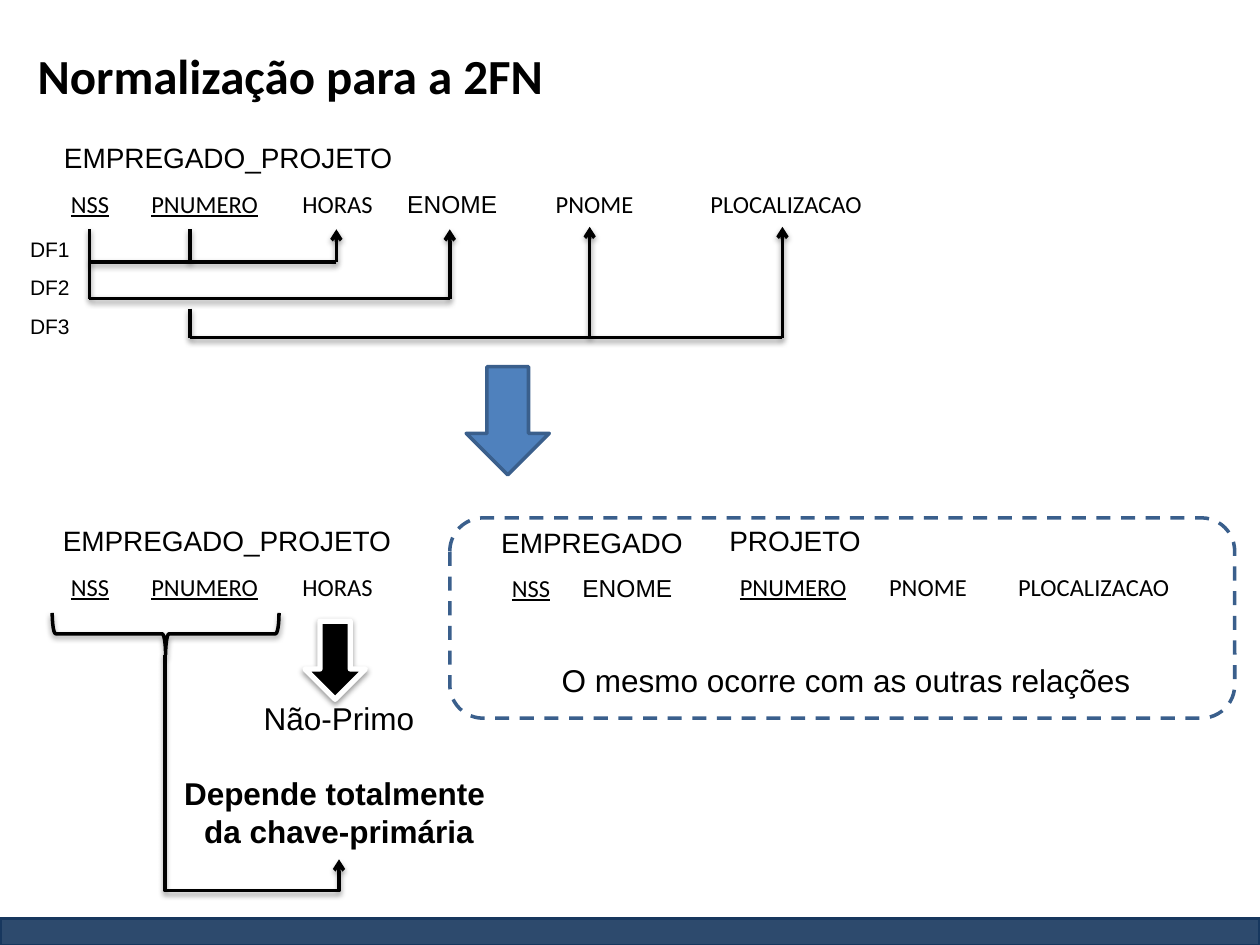
"""Build the slide on normalisation to the second normal form."""
from dataclasses import dataclass

from lxml import etree
from pptx import Presentation
from pptx.dml.color import RGBColor
from pptx.enum.dml import MSO_LINE
from pptx.enum.shapes import MSO_CONNECTOR, MSO_SHAPE
from pptx.enum.text import MSO_ANCHOR, PP_ALIGN
from pptx.oxml.ns import qn
from pptx.util import Inches, Pt

STRAIGHT, ELBOW = MSO_CONNECTOR.STRAIGHT, MSO_CONNECTOR.ELBOW
RECTANGLE, ROUNDED = MSO_SHAPE.RECTANGLE, MSO_SHAPE.ROUNDED_RECTANGLE
DOWN_ARROW, LEFT_BRACE = MSO_SHAPE.DOWN_ARROW, MSO_SHAPE.LEFT_BRACE
MIDDLE, CENTER, LEFT = MSO_ANCHOR.MIDDLE, PP_ALIGN.CENTER, PP_ALIGN.LEFT
DASH = MSO_LINE.DASH

COLUMN_WIDTHS = {"NSS": 0.61, "PNUMERO": 1.21, "HORAS": 0.9,
                 "ENOME": 0.92, "PNOME": 1.34, "PLOCALIZACAO": 1.7}
KEYS = ("NSS", "PNUMERO")


@dataclass(frozen=True)
class Theme:
    black: str = "000000"
    white: str = "FFFFFF"
    navy: str = "17375E"
    blue: str = "4F81BD"
    outline: str = "3A5F8C"
    heading_font: str = "Calibri"
    body_font: str = "Arial"
    title: int = 28
    note: int = 18
    relation: int = 16
    attribute: int = 14
    label: int = 12


class Slide:
    def __init__(self, page, theme):
        self.page, self.theme = page, theme

    def style(self, span, size, font=None, bold=False, underline=False):
        span.font.size, span.font.name = Pt(size), font or self.theme.body_font
        span.font.bold, span.font.underline = bold, underline
        span.font.color.rgb = RGBColor.from_string(self.theme.black)

    def stroke(self, line, color, width=2):
        line.color.rgb = RGBColor.from_string(color)
        line.width = Pt(width)

    def shadow(self, item):
        properties = item.element.spPr
        effects = properties.find(qn("a:effectLst"))
        if effects is None:
            effects = etree.SubElement(properties, qn("a:effectLst"))
        outer = etree.SubElement(effects, qn("a:outerShdw"), blurRad="40000",
                                 dist="20000", dir="5400000", rotWithShape="0")
        color = etree.SubElement(outer, qn("a:srgbClr"), val=self.theme.black)
        etree.SubElement(color, qn("a:alpha"), val="38000")

    def text(self, lines, left, top, width, height, size, font=None,
             bold=False, wrap=True, align=LEFT, anchor=MSO_ANCHOR.TOP):
        box = self.page.shapes.add_textbox(*map(Inches, (left, top, width, height)))
        frame = box.text_frame
        frame.word_wrap, frame.vertical_anchor = wrap, anchor
        frame.text = lines
        for para in frame.paragraphs:
            para.alignment = align
            for span in para.runs:
                self.style(span, size, font, bold)
        return frame

    def shape(self, kind, left, top, width, height, fill, line, line_width=2, shadow=False):
        item = self.page.shapes.add_shape(kind, *map(Inches, (left, top, width, height)))
        item.shadow.inherit = False
        if fill:
            item.fill.solid()
            item.fill.fore_color.rgb = RGBColor.from_string(fill)
        else:
            item.fill.background()
        self.stroke(item.line, line, line_width)
        if shadow:
            self.shadow(item)
        return item

    def connector(self, start, end, arrow=False, kind=STRAIGHT):
        item = self.page.shapes.add_connector(kind, *map(Inches, (*start, *end)))
        self.stroke(item.line, self.theme.black)
        if arrow:
            etree.SubElement(item.line._get_or_add_ln(), qn("a:tailEnd"), type="arrow")
        self.shadow(item)
        return item

    def elbow(self, start, end, turn):
        item = self.connector(start, end, arrow=True, kind=ELBOW)
        properties = item.element.spPr
        properties.find(qn("a:xfrm")).set("rot", str(270 * 60000))
        guides = properties.find(qn("a:prstGeom")).find(qn("a:avLst"))
        etree.SubElement(guides, qn("a:gd"), name="adj1", fmla=f"val {round(turn * 100000)}")

    def borders(self, cell):
        properties = cell._tc.get_or_add_tcPr()
        for index, side in enumerate(("lnL", "lnR", "lnT", "lnB")):
            border = etree.Element(qn(f"a:{side}"), w=str(Pt(1)))
            fill = etree.SubElement(border, qn("a:solidFill"))
            etree.SubElement(fill, qn("a:srgbClr"), val=self.theme.white)
            properties.insert(index, border)

    def table(self, names, left, top, **narrowed):
        widths = [narrowed.get(name, COLUMN_WIDTHS[name]) for name in names]
        frame = self.page.shapes.add_table(
            1, len(names), *map(Inches, (left, top, sum(widths), 0.37)))
        table = frame.table
        table.first_row = table.horz_banding = False
        for column, name, width in zip(range(len(names)), names, widths):
            table.columns[column].width = Inches(width)
            cell = table.cell(0, column)
            cell.fill.solid()
            cell.fill.fore_color.rgb = RGBColor.from_string(self.theme.white)
            self.borders(cell)
            cell.margin_left = cell.margin_right = Inches(0.08)
            cell.margin_top = cell.margin_bottom = 0
            cell.vertical_anchor = MIDDLE
            para = cell.text_frame.paragraphs[0]
            para.text = name
            para.alignment = CENTER
            indent = para._p.get_or_add_pPr()
            indent.set("marL", str(Inches(0.49)))
            indent.set("indent", str(-Inches(0.49)))
            font = self.theme.body_font if name == "ENOME" else self.theme.heading_font
            self.style(para.runs[0], self.theme.attribute, font, underline=name in KEYS)


def draw_dependencies(slide):
    nss, number, hours, name, project, place = 0.71, 1.51, 2.67, 3.57, 4.68, 6.21
    top, first, second, third = 1.82, 2.08, 2.37, 2.68
    for start, end, arrow in (
            ((nss, top), (nss, second), False),
            ((hours, first), (nss, first), False),
            ((hours, first), (hours, top), True),
            ((number, top), (number, first), False),
            ((name, second), (nss, second), False),
            ((name, second), (name, top), True),
            ((number, 2.45), (number, third), False),
            ((place, third), (number, third), False),
            ((project, third), (project, 1.8), True),
            ((place, third), (place, 1.8), True)):
        slide.connector(start, end, arrow)
    for label, label_top in (("DF1", 1.83), ("DF2", 2.13), ("DF3", 2.44)):
        slide.text(label, 0.14, label_top, 0.52, 0.3, slide.theme.label, wrap=False)


def main():
    deck = Presentation()
    deck.slide_width, deck.slide_height = Inches(10), Inches(7.5)
    theme = Theme()
    slide = Slide(deck.slides.add_slide(deck.slide_layouts[6]), theme)

    footer = slide.shape(RECTANGLE, 0, 7.29, 10, 0.22, theme.navy, theme.navy)
    footer_color = footer.element.spPr.find(qn("a:solidFill"))[0]
    etree.SubElement(footer_color, qn("a:alpha"), val="90000")
    slide.text("Normalização para a 2FN", 0.2, 0.29, 9.61, 0.61, theme.title,
               theme.heading_font, bold=True, anchor=MIDDLE)

    slide.table(list(COLUMN_WIDTHS), 0.41, 1.44)
    draw_dependencies(slide)
    slide.table(["NSS", "PNUMERO", "HORAS"], 0.41, 4.48)
    slide.table(["NSS", "ENOME"], 3.91, 4.49)
    slide.table(["PNUMERO", "PNOME", "PLOCALIZACAO"], 5.69, 4.48, PNOME=0.93)
    for relation, left, top, width in (
            ("EMPREGADO_PROJETO", 0.41, 1.07, 2.96),
            ("EMPREGADO_PROJETO", 0.4, 4.11, 2.97),
            ("EMPREGADO", 3.88, 4.12, 1.74),
            ("PROJETO", 5.69, 4.11, 2.96)):
        slide.text(relation, left, top, width, 0.37, theme.relation)

    note = slide.text("Não-Primo\nDepende totalmente \nda chave-primária",
                      1.34, 5.5, 2.7, 1.31, theme.note, wrap=False, align=CENTER)
    note.paragraphs[0].space_after = Pt(21)
    for para in note.paragraphs[1:]:
        para.runs[0].font.bold = True
    slide.shape(DOWN_ARROW, 2.42, 4.93, 0.48, 0.62, theme.black, theme.white, 3, shadow=True)
    brace = slide.shape(LEFT_BRACE, 1.15, 4.13, 0.33, 1.8, None, theme.black, shadow=True)
    brace.rotation = 270
    slide.elbow((2.81, 5.32), (1.19, 6.7), 1.154)

    slide.text("O mesmo ocorre com as outras relações", 4.36, 5.2, 4.76, 0.4, theme.note)
    others = slide.shape(ROUNDED, 3.57, 4.11, 6.23, 1.59, None, theme.outline)
    others.line.dash_style = DASH
    slide.shape(DOWN_ARROW, 3.7, 2.91, 0.66, 0.86, theme.blue, theme.outline)
    deck.save("out.pptx")


if __name__ == "__main__":
    main()
